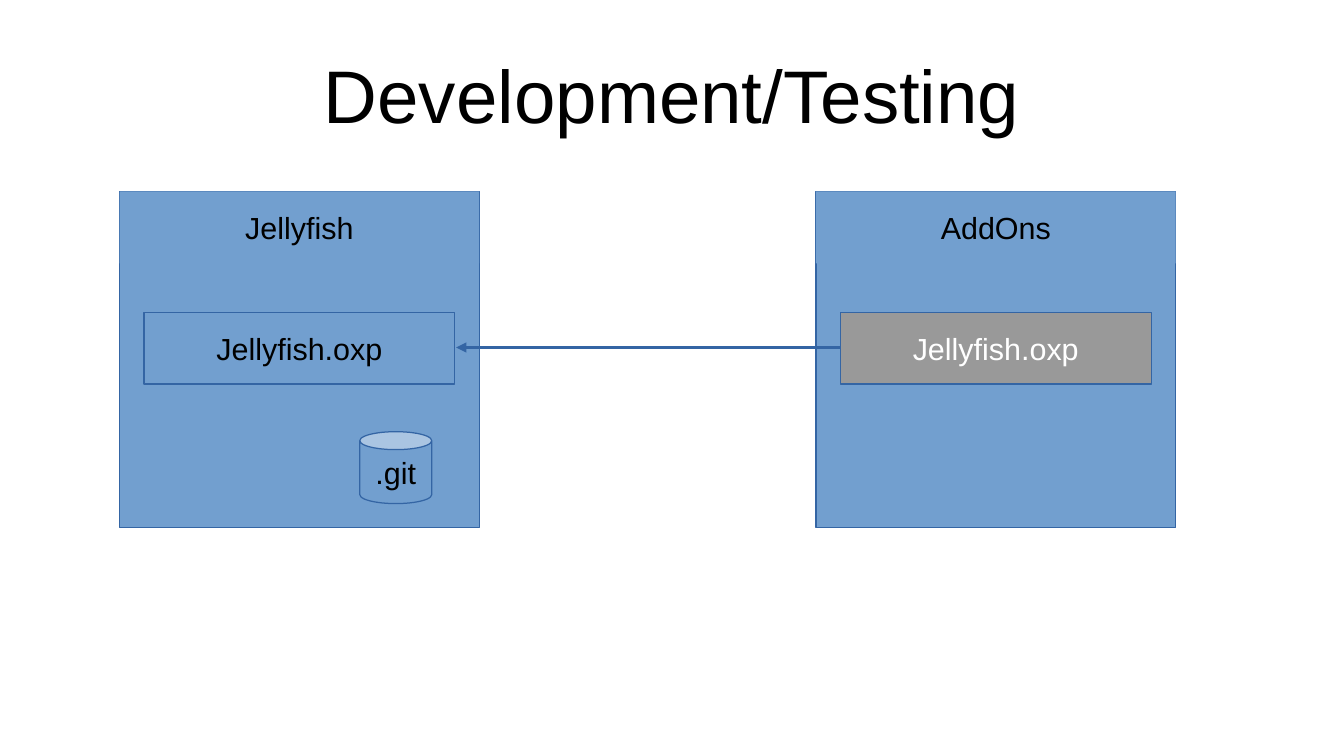
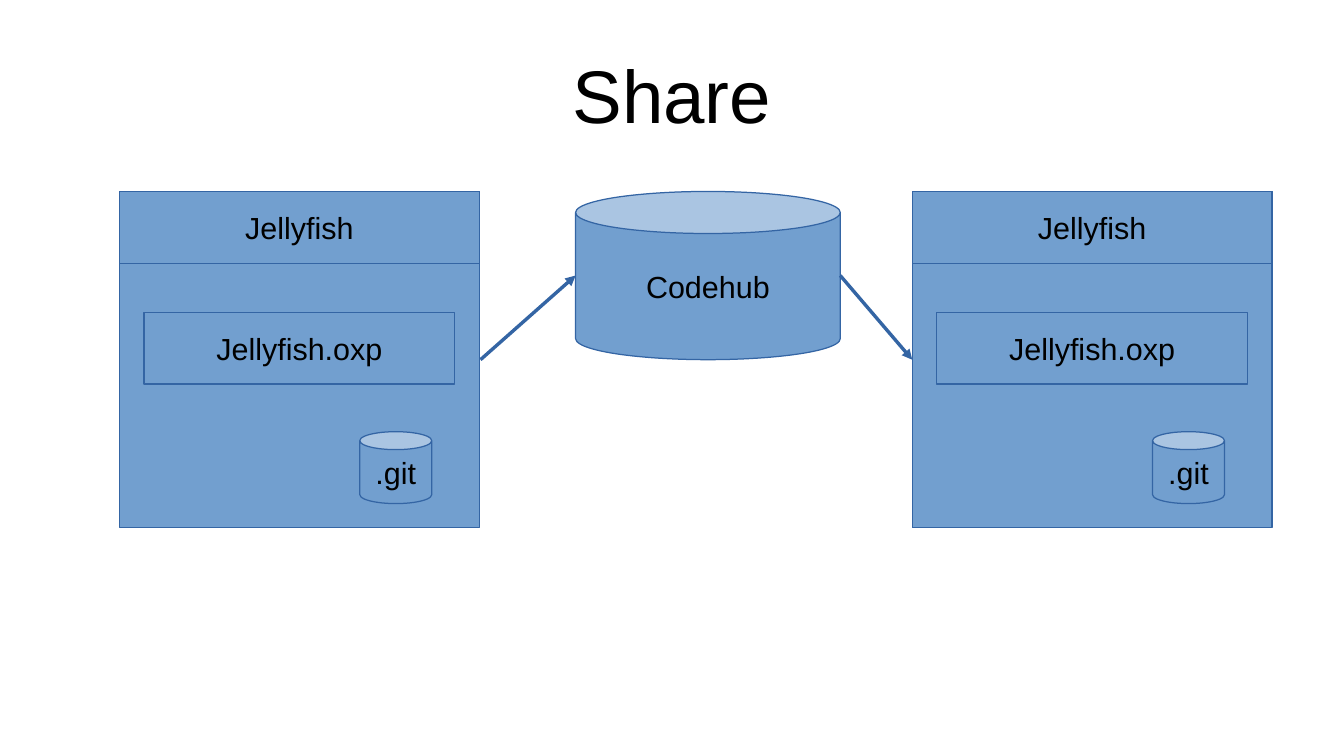
from lxml import etree
from pptx import Presentation
from pptx.dml.color import RGBColor
from pptx.enum.shapes import MSO_CONNECTOR as Connector, MSO_SHAPE as Shape
from pptx.enum.text import MSO_ANCHOR as Anchor, PP_ALIGN as Align
from pptx.oxml.ns import qn
from pptx.util import Inches, Pt

# Shared style
FONT = "Arial"
BLUE, EDGE, GREY = "729FCF", "3465A4", "999999"
BLACK, WHITE = "000000", "FFFFFF"

# Shared measures, in inches
PANEL_TOP, PANEL_WIDTH, PANEL_HEIGHT = 1.57, 2.95, 2.76
UNIT = 0.59                        # header, file and store height
FILE_INSET, FILE_DROP = 0.2, 0.99  # file box inside its panel
STORE_DROP = 1.97

# Content: panels give left edge, name and options
SLIDES = [
    {
        "title": "Development/Testing",
        "panels": [
            (0.98, "Jellyfish", {"header_line": None, "store": 1.97}),
            (6.69, "AddOns", {"header_line": None, "file_fill": GREY,
                              "file_color": WHITE}),
        ],
        "arrows": [((6.89, 2.85), (3.74, 2.85))],
    },
    {
        "title": "Share",
        "panels": [
            (0.98, "Jellyfish", {"store": 1.97}),
            (7.48, "Jellyfish", {"store": 1.97}),
        ],
        "hub": ("Codehub", 4.72, 1.57, 2.17, 1.38),
        "arrows": [((3.94, 2.95), (4.72, 2.26)),
                   ((6.89, 2.26), (7.48, 2.95))],
    },
]


def rgb(value):
    return RGBColor.from_string(value)


def write(shape, text, size=18, color=BLACK, margins=(0.1, 0.05)):
    frame = shape.text_frame
    frame.word_wrap = True
    frame.vertical_anchor = Anchor.MIDDLE
    frame.margin_left = frame.margin_right = Inches(margins[0])
    frame.margin_top = frame.margin_bottom = Inches(margins[1])
    para = frame.paragraphs[0]
    para.alignment = Align.CENTER
    span = para.add_run()
    span.text = text
    span.font.name = FONT
    span.font.size = Pt(size)
    span.font.color.rgb = rgb(color)


def place(shape, left, top, width, height):
    shape.left, shape.top = Inches(left), Inches(top)
    shape.width, shape.height = Inches(width), Inches(height)


def add_box(page, left, top, width, height, text=None, kind=Shape.RECTANGLE,
            fill=BLUE, line=EDGE, color=BLACK):
    box = page.shapes.add_shape(kind, Inches(left), Inches(top),
                                Inches(width), Inches(height))
    box.shadow.inherit = False
    box.fill.solid()
    box.fill.fore_color.rgb = rgb(fill)
    if line:
        box.line.color.rgb = rgb(line)
        box.line.width = Pt(0)
    else:
        box.line.fill.background()
    if text:
        write(box, text, color=color)
    return box


def add_panel(page, left, name, header_line=EDGE, file_fill=BLUE,
              file_color=BLACK, store=None):
    """Draw a project panel with its header, file and optional git store."""
    add_box(page, left, PANEL_TOP, PANEL_WIDTH, PANEL_HEIGHT)
    add_box(page, left, PANEL_TOP, PANEL_WIDTH, UNIT, name, line=header_line)
    add_box(page, left + FILE_INSET, PANEL_TOP + FILE_DROP,
            PANEL_WIDTH - 2 * FILE_INSET, UNIT, "Jellyfish.oxp",
            fill=file_fill, color=file_color)
    if store:
        add_box(page, left + store, PANEL_TOP + STORE_DROP, UNIT, UNIT,
                ".git", kind=Shape.CAN)


def add_arrow(page, start, end):
    arrow = page.shapes.add_connector(
        Connector.STRAIGHT, *(Inches(value) for value in start + end))
    arrow.line.color.rgb = rgb(EDGE)
    arrow.line.width = Pt(0)
    line = arrow.line._get_or_add_ln()
    etree.SubElement(line, qn("a:tailEnd"), type="triangle")
    etree.SubElement(arrow._element.spPr, qn("a:effectLst"))


def build_slide(deck, content):
    page = deck.slides.add_slide(deck.slide_layouts[5])
    title = page.shapes.title
    place(title, 0.55, 0.25, 9.92, 1.04)
    write(title, content["title"], size=44, margins=(0, 0))
    for left, name, options in content["panels"]:
        add_panel(page, left, name, **options)
    if "hub" in content:
        name, *bounds = content["hub"]
        add_box(page, *bounds, name, kind=Shape.CAN)
    for start, end in content["arrows"]:
        add_arrow(page, start, end)


def main():
    deck = Presentation()
    deck.slide_width, deck.slide_height = Inches(11.02), Inches(6.2)
    for content in SLIDES:
        build_slide(deck, content)
    deck.save("out.pptx")


if __name__ == "__main__":
    main()
